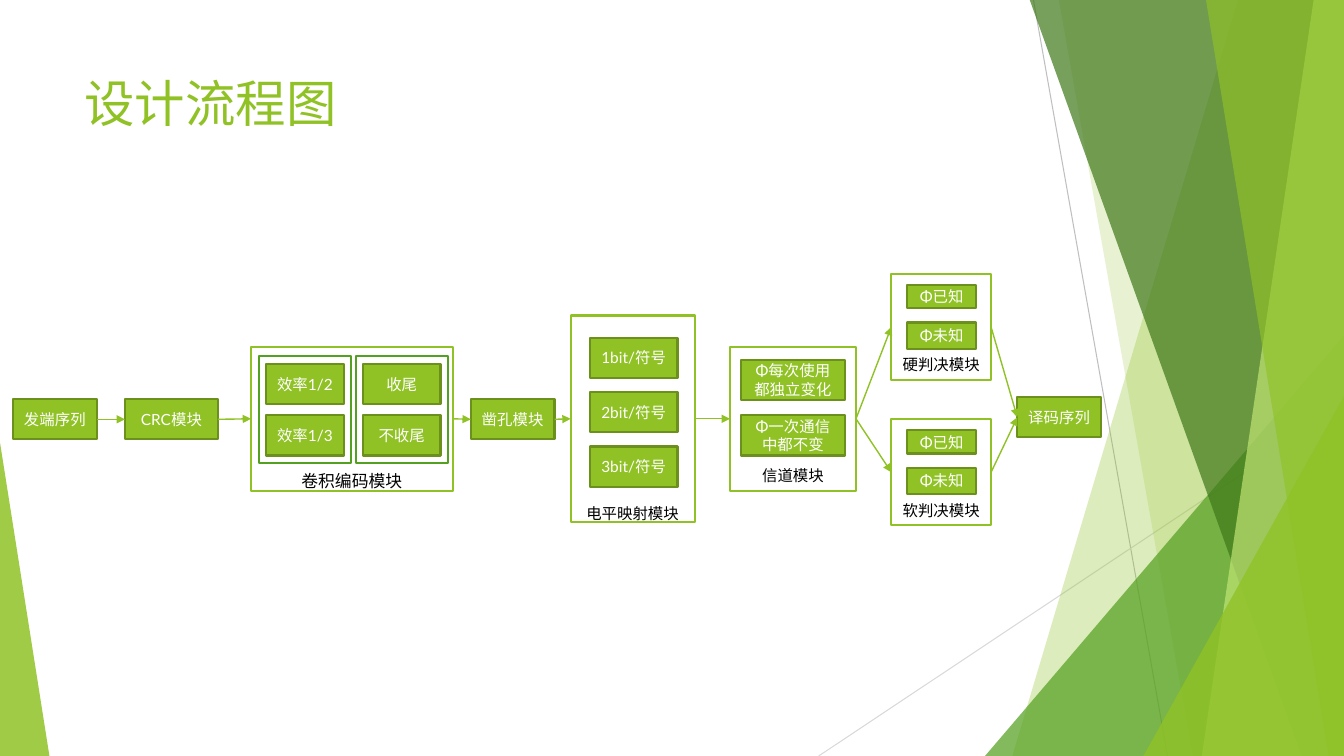
from lxml import etree
from pptx import Presentation
from pptx.dml.color import RGBColor
from pptx.enum import shapes, text
from pptx.oxml.ns import qn
from pptx.util import Inches, Pt

FONT = "Lato"
LIME = RGBColor(0x90, 0xC2, 0x26)
OLIVE = RGBColor(0x6B, 0x90, 0x1C)
GREEN = RGBColor(0x54, 0xA0, 0x21)
FOREST = RGBColor(0x3F, 0x78, 0x19)
PALE_LIME = RGBColor(0xC0, 0xE4, 0x74)
GREY = RGBColor(0xBF, 0xBF, 0xBF)
LIGHT_GREY = RGBColor(0xD9, 0xD9, 0xD9)
WHITE = RGBColor(0xFF, 0xFF, 0xFF)
BLACK = RGBColor(0, 0, 0)

SLIDE_W, SLIDE_H = 13.33, 7.5
LEFT, RIGHT = 1, 3  # connection sites of a rectangle


def style_facet(facet, color, opacity):
    """Fill a decorative shape; opacity is in percent."""
    facet.shadow.inherit = False
    facet.line.fill.background()
    facet.fill.solid()
    facet.fill.fore_color.rgb = color
    color_element = facet._element.spPr.find(".//" + qn("a:srgbClr"))
    etree.SubElement(color_element, qn("a:alpha"), val=str(opacity * 1000))


def add_band(slide, top_x, bottom_x, color, opacity):
    """Add a full-height band from a slanted left edge to the slide's right edge."""
    top = -0.01
    builder = slide.shapes.build_freeform(
        Inches(top_x), Inches(top), scale=1.0)
    corners = [(SLIDE_W, top), (SLIDE_W, SLIDE_H), (bottom_x, SLIDE_H)]
    builder.add_line_segments([(Inches(x), Inches(y)) for x, y in corners])
    style_facet(builder.convert_to_shape(), color, opacity)


def add_triangle(slide, left, top, width, apex, color, opacity):
    """Add a triangle standing on the bottom edge; apex runs from 0 (left) to 1."""
    triangle = slide.shapes.add_shape(
        shapes.MSO_SHAPE.ISOSCELES_TRIANGLE, Inches(left), Inches(top),
        Inches(width), Inches(SLIDE_H - top))
    triangle.adjustments[0] = apex
    style_facet(triangle, color, opacity)


def add_line(slide, start, end, color, width):
    line = slide.shapes.add_connector(
        shapes.MSO_CONNECTOR.STRAIGHT, *(Inches(v) for v in start + end))
    line.line.color.rgb = color
    line.line.width = Pt(width)
    etree.SubElement(line._element.spPr, qn("a:effectLst"))
    return line


def add_arrow(slide, source, target):
    arrow = add_line(slide, (0, 0), (0, 0), LIME, 1)
    arrow.begin_connect(source, RIGHT)
    arrow.end_connect(target, LEFT)
    etree.SubElement(arrow.line._get_or_add_ln(), qn("a:tailEnd"), type="triangle")


def write(frame, wording, size, color, align):
    frame.word_wrap = True
    paragraph = frame.paragraphs[0]
    paragraph.text = wording
    paragraph.alignment = align
    paragraph.font.size = Pt(size)
    paragraph.font.name = FONT
    paragraph.font.color.rgb = color


def add_box(slide, left, top, width, height, fill, outline):
    box = slide.shapes.add_shape(
        shapes.MSO_SHAPE.RECTANGLE, Inches(left), Inches(top),
        Inches(width), Inches(height))
    box.shadow.inherit = False
    box.fill.solid()
    box.fill.fore_color.rgb = fill
    box.line.color.rgb = outline
    box.line.width = Pt(1.5)
    return box


def add_step(slide, wording, left, top, width=0.83, height=0.4):
    step = add_box(slide, left, top, width, height, LIME, OLIVE)
    step.text_frame.vertical_anchor = text.MSO_ANCHOR.MIDDLE
    write(step.text_frame, wording, 11, WHITE, text.PP_ALIGN.CENTER)
    return step


def add_module(slide, caption, left, top, width, height, inset=0.06, size=11):
    """Add a white frame whose caption sits inset inches above its bottom."""
    module = add_box(slide, left, top, width, height, WHITE, LIME)
    module.text_frame.vertical_anchor = text.MSO_ANCHOR.BOTTOM
    module.text_frame.margin_bottom = Inches(inset)
    write(module.text_frame, caption, size, BLACK, text.PP_ALIGN.CENTER)
    return module


def add_decision(slide, caption, top):
    module = add_module(slide, caption, 8.84, top, 0.99, 1.05)
    add_step(slide, "Φ已知", 9, top + 0.11, 0.68, 0.23)
    add_step(slide, "Φ未知", 9, top + 0.48, 0.68, 0.26)
    return module


def add_backdrop(slide):
    add_line(slide, (10.25, 0), (11.58, SLIDE_H), GREY, 0.75)
    add_line(slide, (SLIDE_W, 4.03), (8.12, SLIDE_H), LIGHT_GREY, 0.75)
    add_band(slide, 12.28, 10.04, LIME, 30)
    add_band(slide, 10.5, 11.83, LIME, 20)
    add_triangle(slide, 9.77, 3.33, 3.56, 1, GREEN, 72)
    add_band(slide, 10.21, 12.91, FOREST, 70)
    add_band(slide, 13.03, 11.92, PALE_LIME, 70)
    add_band(slide, 11.96, 13.18, LIME, 65)
    add_triangle(slide, 11.34, 3.93, 1.99, 1, LIME, 80)
    add_triangle(slide, 0, 4.39, 0.49, 0, LIME, 85)


def add_title(slide):
    title = slide.shapes.add_textbox(
        Inches(0.74), Inches(0.67), Inches(9.4), Inches(1.44))
    write(title.text_frame, "设计流程图", 36, LIME, text.PP_ALIGN.LEFT)


def add_flow(slide):
    source = add_step(slide, "发端序列", 0.13, 3.96)
    crc = add_step(slide, "CRC模块", 1.24, 3.96, 0.92)

    coding = add_module(slide, "卷积编码模块", 2.49, 3.44, 2, 1.43, 0, 12)
    options = [(2.57, ("效率1/2", "效率1/3")), (3.53, ("收尾", "不收尾"))]
    for left, choices in options:
        add_box(slide, left, 3.53, 0.91, 1.06, WHITE, GREEN)
        for choice, top in zip(choices, (3.61, 4.12)):
            add_step(slide, choice, left + 0.07, top, 0.77)

    puncturing = add_step(slide, "凿孔模块", 4.67, 3.96)

    mapping = add_module(slide, "电平映射模块", 5.66, 3.13, 1.23, 2.05, 0)
    for bits in (1, 2, 3):
        add_step(slide, f"{bits}bit/符号", 5.85, 3.35 + 0.54 * (bits - 1), 0.87)

    channel = add_module(slide, "信道模块", 7.24, 3.44, 1.25, 1.43)
    add_step(slide, "Φ每次使用都独立变化", 7.35, 3.57, 1.03)
    add_step(slide, "Φ一次通信中都不变", 7.35, 4.12, 1.03)

    hard = add_decision(slide, "硬判决模块", 2.72)
    soft = add_decision(slide, "软判决模块", 4.16)
    decoded = add_step(slide, "译码序列", 10.09, 3.94)

    chain = [source, crc, coding, puncturing, mapping, channel]
    for before, after in zip(chain, chain[1:]):
        add_arrow(slide, before, after)
    for decision in (hard, soft):
        add_arrow(slide, channel, decision)
        add_arrow(slide, decision, decoded)


def main():
    deck = Presentation()
    deck.slide_width, deck.slide_height = Inches(SLIDE_W), Inches(SLIDE_H)
    slide = deck.slides.add_slide(deck.slide_layouts[6])
    add_backdrop(slide)
    add_title(slide)
    add_flow(slide)
    deck.save("out.pptx")


if __name__ == "__main__":
    main()
